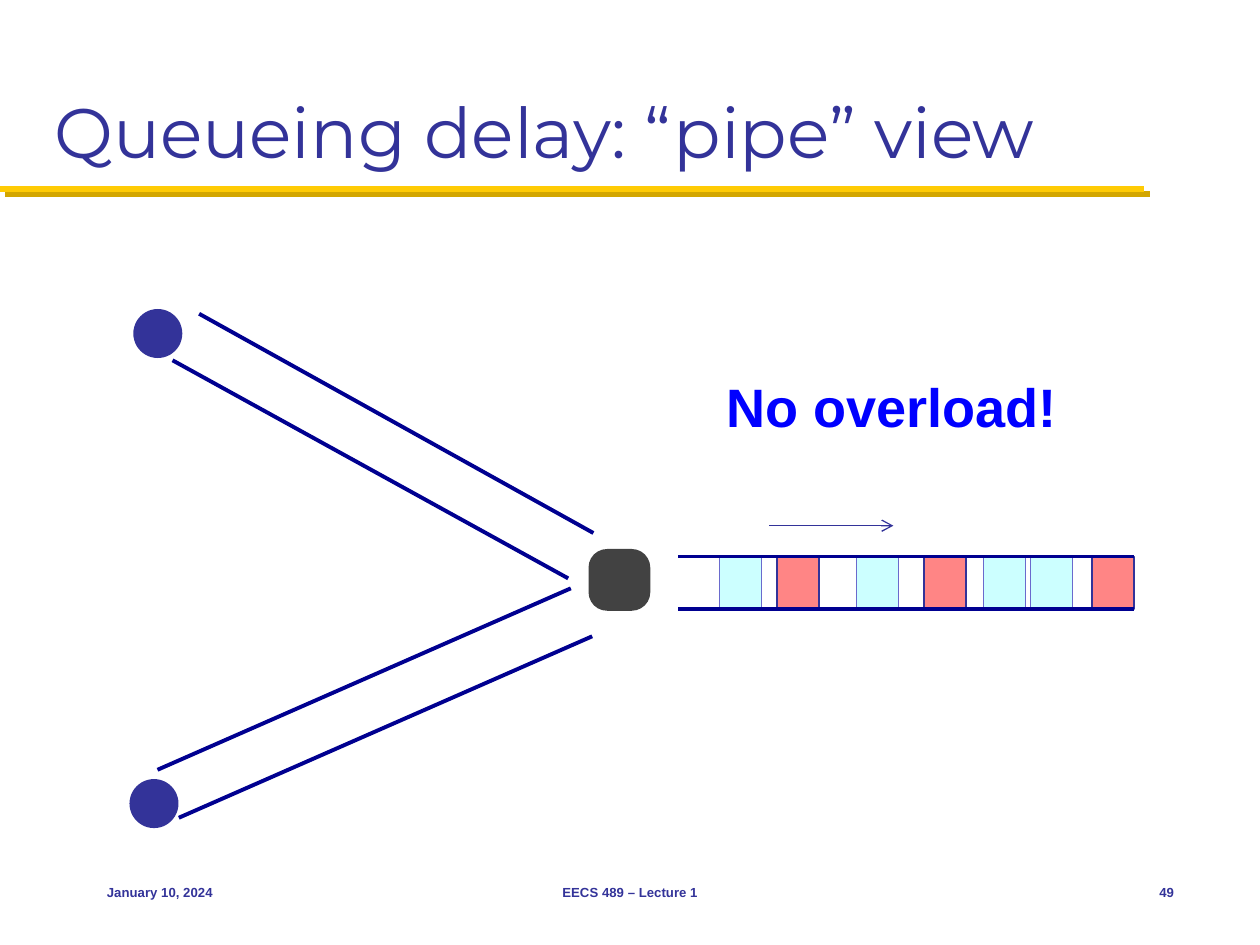
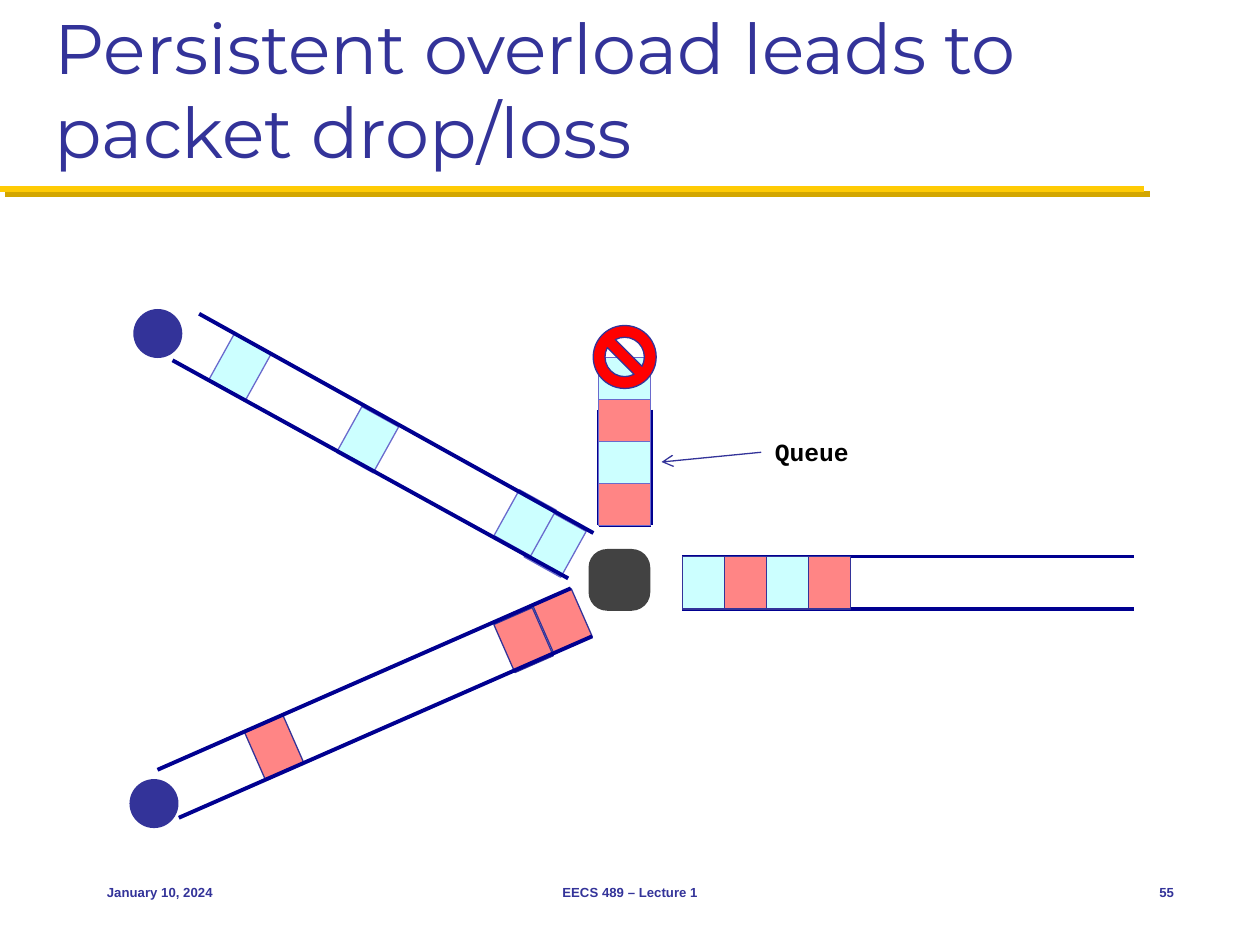
from dataclasses import dataclass
from typing import NamedTuple

from lxml.etree import SubElement
from pptx import Presentation
from pptx.dml.color import RGBColor
from pptx.enum.shapes import MSO_CONNECTOR, MSO_SHAPE
from pptx.enum.text import MSO_ANCHOR, MSO_AUTO_SIZE, PP_ALIGN
from pptx.oxml.ns import qn
from pptx.shapes.autoshape import Shape
from pptx.shapes.connector import Connector
from pptx.slide import Slide
from pptx.util import Pt


@dataclass(frozen=True)
class Theme:
    ink: str = "333399"
    band: str = "FFCB05"
    band_shadow: str = "D3A600"
    rail: str = "000090"
    cyan: str = "CCFFFF"
    pink: str = "FF8585"
    pale_edge: str = "6A6ACD"
    router: str = "424242"
    stop: str = "FF0000"
    verdict: str = "0000FF"
    black: str = "000000"
    title_font: str = "Montserrat"
    body_font: str = "Arial"
    label_font: str = "Courier New"
    title_size: float = 40
    verdict_size: float = 30.9
    label_size: float = 14.1
    footer_size: float = 7.5
    band_width: float = 3.5
    rail_width: float = 2.25
    edge_width: float = 0.75
    queue_edge_width: float = 0.5


class Box(NamedTuple):
    left: float
    top: float
    width: float
    height: float


class Segment(NamedTuple):
    x1: float
    y1: float
    x2: float
    y2: float


class TextStyle(NamedTuple):
    font: str
    size: float
    color: str
    bold: bool = True


class Packet(NamedTuple):
    x: float  # centre
    y: float
    fill: str
    edge: str
    rotation: float = 0


THEME = Theme()
TITLE_STYLE = TextStyle(THEME.title_font, THEME.title_size, THEME.ink, False)
FOOTER_STYLE = TextStyle(THEME.body_font, THEME.footer_size, THEME.ink)
VERDICT_STYLE = TextStyle(THEME.body_font, THEME.verdict_size, THEME.verdict)
LABEL_STYLE = TextStyle(THEME.label_font, THEME.label_size, THEME.black)

PACKET_LENGTH, PIPE_WIDTH = 24, 30
OUT_TOP, OUT_LEFT, OUT_RIGHT = 318, 390, 648
OUT_MIDDLE = OUT_TOP + PIPE_WIDTH / 2
QUEUE_LEFT, QUEUE_TOP, QUEUE_BOTTOM = 342, 234, 300

UPPER_LINK = [Segment(113.8, 179.3, 339.1, 304.6), Segment(98.6, 205.9, 324.7, 330.5)]
LOWER_LINK = [Segment(90, 439.9, 326.2, 336.2), Segment(102.2, 467.3, 338.4, 363.6)]
HOSTS = [Box(76.2, 176.6, 28, 28), Box(74, 445.2, 28, 28)]
ROUTER = Box(336.3, 313.7, 35.3, 35.3)


def draw_line(slide: Slide, segment: Segment, color: str, width: float, arrow: bool = False) -> Connector:
    line = slide.shapes.add_connector(MSO_CONNECTOR.STRAIGHT, *(Pt(value) for value in segment))
    line.line.color.rgb = RGBColor.from_string(color)
    line.line.width = Pt(width)
    properties = line._element.spPr
    if arrow:
        SubElement(properties.find(qn("a:ln")), qn("a:tailEnd"), type="arrow")
    SubElement(properties, qn("a:effectLst"))
    return line


def draw_rails(slide: Slide, segments: list[Segment]) -> None:
    for segment in segments:
        draw_line(slide, segment, THEME.rail, THEME.rail_width)


def draw_out_link(slide: Slide, left: float) -> None:
    draw_rails(slide, [Segment(left, y, OUT_RIGHT, y) for y in (OUT_TOP, OUT_TOP + PIPE_WIDTH)])


def draw_shape(slide: Slide, kind: MSO_SHAPE, box: Box, fill: str,
               edge: str | None = None, edge_width: float = THEME.edge_width) -> Shape:
    shape = slide.shapes.add_shape(kind, *(Pt(value) for value in box))
    shape.shadow.inherit = False
    shape.fill.solid()
    shape.fill.fore_color.rgb = RGBColor.from_string(fill)
    if edge:
        shape.line.color.rgb = RGBColor.from_string(edge)
        shape.line.width = Pt(edge_width)
    else:
        shape.line.fill.background()
    return shape


def draw_packets(slide: Slide, packets: list[Packet]) -> None:
    for packet in packets:
        box = Box(packet.x - PACKET_LENGTH / 2, packet.y - PIPE_WIDTH / 2, PACKET_LENGTH, PIPE_WIDTH)
        shape = draw_shape(slide, MSO_SHAPE.RECTANGLE, box, packet.fill, packet.edge)
        shape.rotation = packet.rotation


def write_text(shape: Shape, text: str, style: TextStyle, align: PP_ALIGN = PP_ALIGN.LEFT,
               anchor: MSO_ANCHOR = MSO_ANCHOR.TOP, wrap: bool = False) -> None:
    frame = shape.text_frame
    frame.auto_size = MSO_AUTO_SIZE.NONE
    frame.word_wrap = wrap
    frame.vertical_anchor = anchor
    frame.text = text
    paragraph = frame.paragraphs[0]
    paragraph.alignment = align
    paragraph.font.name = style.font
    paragraph.font.size = Pt(style.size)
    paragraph.font.bold = style.bold
    paragraph.font.color.rgb = RGBColor.from_string(style.color)


def add_text(slide: Slide, box: Box, text: str, style: TextStyle, align: PP_ALIGN = PP_ALIGN.LEFT,
             anchor: MSO_ANCHOR = MSO_ANCHOR.TOP, wrap: bool = False) -> Shape:
    shape = slide.shapes.add_textbox(*(Pt(value) for value in box))
    write_text(shape, text, style, align, anchor, wrap)
    return shape


def add_lecture_slide(presentation: Presentation, title: str, number: int) -> Slide:
    """Add a slide with the title, gold band, footers, hosts and router."""
    slide = presentation.slides.add_slide(presentation.slide_layouts[5])
    heading = slide.shapes.title
    heading.left, heading.top, heading.width, heading.height = Pt(24), Pt(12), Pt(672), Pt(90)
    write_text(heading, title, TITLE_STYLE, anchor=MSO_ANCHOR.BOTTOM, wrap=True)
    for color, offset in ((THEME.band_shadow, 3), (THEME.band, 0)):
        segment = Segment(offset, 108 + offset, 654 + offset, 108 + offset)
        draw_line(slide, segment, color, THEME.band_width)
    footers = [
        (54, 150, "January 10, 2024", PP_ALIGN.LEFT),
        (246, 228, "EECS 489 – Lecture 1", PP_ALIGN.CENTER),
        (630, 48, str(number), PP_ALIGN.RIGHT),
    ]
    for left, width, text, align in footers:
        add_text(slide, Box(left, 492, width, 36), text, FOOTER_STYLE, align, MSO_ANCHOR.MIDDLE)
    for host in HOSTS:
        draw_shape(slide, MSO_SHAPE.OVAL, host, THEME.ink)
    router = draw_shape(slide, MSO_SHAPE.ROUNDED_RECTANGLE, ROUTER, THEME.router)
    router.adjustments[0] = 0.3
    return slide


def build_pipe_view(presentation: Presentation) -> None:
    slide = add_lecture_slide(presentation, "Queueing delay: “pipe” view", 49)
    draw_rails(slide, UPPER_LINK + LOWER_LINK)
    cyan = [Packet(x, OUT_MIDDLE, THEME.cyan, THEME.pale_edge) for x in (601, 574, 501.5, 423.2)]
    pink = [Packet(x, OUT_MIDDLE, THEME.pink, THEME.ink) for x in (456, 636, 540)]
    draw_packets(slide, cyan + pink)
    draw_out_link(slide, 387.5)
    add_text(slide, Box(408, 210, 246, 44.6), "No overload!", VERDICT_STYLE, wrap=True)
    draw_line(slide, Segment(439.5, 300.4, 510.5, 300.4), THEME.ink, THEME.edge_width, arrow=True)


def build_packet_loss(presentation: Presentation) -> None:
    slide = add_lecture_slide(presentation, "Persistent overload leads to packet drop/loss", 55)

    queue_right = QUEUE_LEFT + PIPE_WIDTH
    draw_rails(slide, [
        Segment(QUEUE_LEFT, QUEUE_TOP, QUEUE_LEFT, QUEUE_BOTTOM),
        Segment(queue_right, QUEUE_TOP, queue_right, QUEUE_BOTTOM),
        Segment(QUEUE_LEFT, QUEUE_BOTTOM, queue_right, QUEUE_BOTTOM),
    ])
    label = add_text(slide, Box(435, 246.2, 57, 24.5), "Queue", LABEL_STYLE, PP_ALIGN.RIGHT)
    pointer = draw_line(slide, Segment(435, 258.4, 378, 264), THEME.ink, THEME.edge_width, arrow=True)
    pointer.begin_connect(label, 1)

    draw_out_link(slide, OUT_LEFT)
    out_fills = [THEME.cyan, THEME.pink] * 2
    draw_packets(slide, [
        Packet(OUT_LEFT + PACKET_LENGTH * (index + 0.5), OUT_MIDDLE, fill, THEME.ink)
        for index, fill in enumerate(out_fills)
    ])

    lower_centres = [(156.6, 427), (321.5, 355), (299.2, 365.8)]
    draw_packets(slide, [Packet(x, y, THEME.pink, THEME.ink, 336.3) for x, y in lower_centres])
    upper_centres = [(317.2, 311), (300, 298.8), (210, 251.3), (137.2, 209.5)]
    draw_packets(slide, [Packet(x, y, THEME.cyan, THEME.pale_edge, 29) for x, y in upper_centres])
    draw_rails(slide, LOWER_LINK + UPPER_LINK)

    for index, fill in enumerate([THEME.pink, THEME.cyan] * 2):
        box = Box(QUEUE_LEFT, QUEUE_BOTTOM - PACKET_LENGTH * (index + 1), PIPE_WIDTH, PACKET_LENGTH)
        draw_shape(slide, MSO_SHAPE.RECTANGLE, box, fill, THEME.pale_edge, THEME.queue_edge_width)
    draw_shape(slide, MSO_SHAPE.NO_SYMBOL, Box(339, 186, 36, 36), THEME.stop, THEME.ink)


def main() -> None:
    presentation = Presentation()
    presentation.slide_width, presentation.slide_height = Pt(720), Pt(540)
    build_pipe_view(presentation)
    build_packet_loss(presentation)
    presentation.save("out.pptx")


if __name__ == "__main__":
    main()
